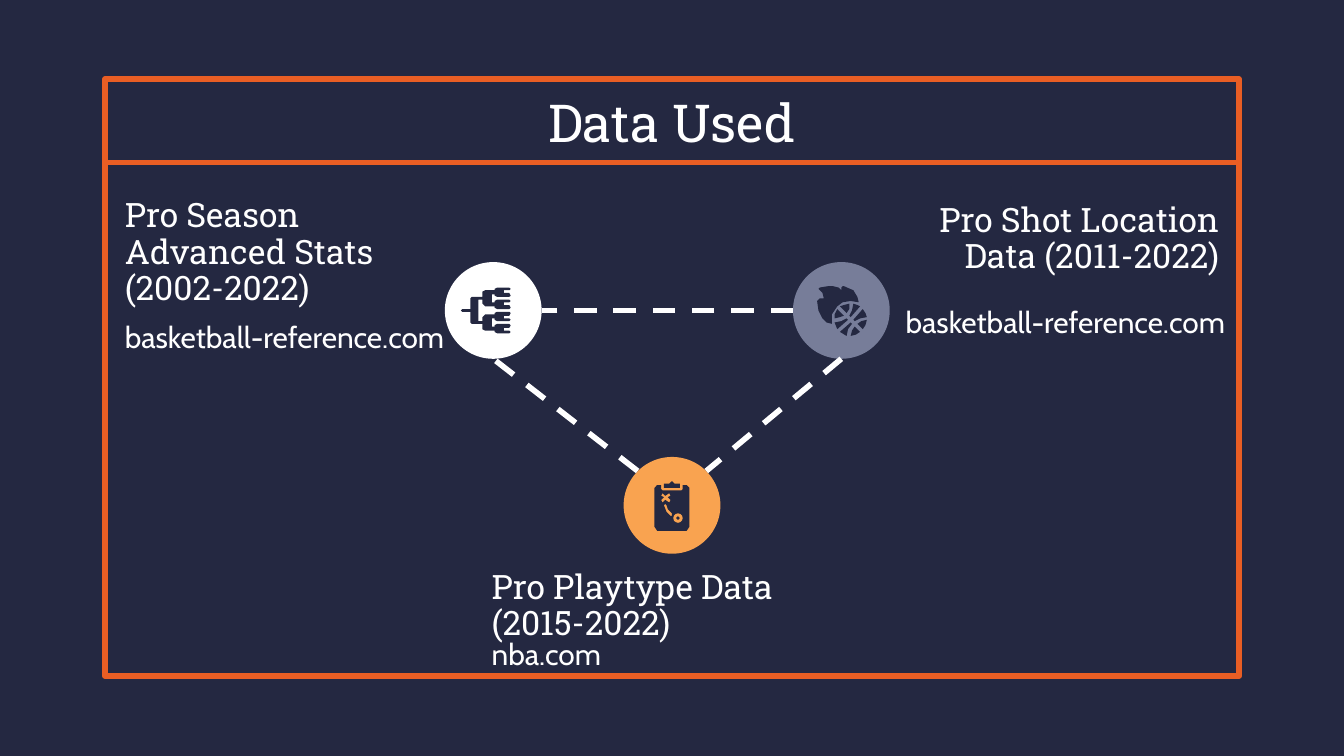
from lxml import etree
from pptx import Presentation
from pptx.dml.color import RGBColor
from pptx.enum.dml import MSO_LINE
from pptx.enum.shapes import MSO_CONNECTOR, MSO_SHAPE
from pptx.enum.text import MSO_ANCHOR, PP_ALIGN
from pptx.oxml.ns import qn
from pptx.util import Pt

STRAIGHT = MSO_CONNECTOR.STRAIGHT
RECTANGLE, OVAL, DONUT = MSO_SHAPE.RECTANGLE, MSO_SHAPE.OVAL, MSO_SHAPE.DONUT
DASH, SOLID = MSO_LINE.DASH, MSO_LINE.SOLID
LEFT, CENTER, RIGHT = PP_ALIGN.LEFT, PP_ALIGN.CENTER, PP_ALIGN.RIGHT
MIDDLE = MSO_ANCHOR.MIDDLE

NAVY, WHITE, ORANGE = "242841", "FFFFFF", "E95E24"
GREY, AMBER = "777D99", "F9A350"
SLAB, SANS = "Roboto Slab", "Cabin"
ICON_UNIT = 0.72  # points per unit of the icon outlines
DIAMETER = 51.84


def color(hex_string):
    return RGBColor.from_string(hex_string)


def paint(shape, fill):
    """Give a shape a plain fill without line or shadow."""
    shape.shadow.inherit = False
    shape.fill.solid()
    shape.fill.fore_color.rgb = color(fill)
    shape.line.fill.background()


presentation = Presentation()
presentation.slide_width, presentation.slide_height = Pt(720), Pt(405)
slide = presentation.slides.add_slide(presentation.slide_layouts[5])
slide.background.fill.solid()
slide.background.fill.fore_color.rgb = color(NAVY)
shapes = slide.shapes

# Frame and title
frame = shapes.add_shape(RECTANGLE, Pt(56.2), Pt(42.5), Pt(607.7), Pt(319.7))
frame.shadow.inherit = False
frame.fill.background()
frame.line.color.rgb = color(ORANGE)
frame.line.width = Pt(3)

title = shapes.title
title.left, title.top, title.width, title.height = Pt(56.2), Pt(42.5), Pt(607.7), Pt(45.4)
title.text_frame.text = "Data Used"
title.text_frame.vertical_anchor = MIDDLE
paragraph = title.text_frame.paragraphs[0]
paragraph.alignment = CENTER
paragraph.font.size = Pt(28)
paragraph.font.name = SLAB
paragraph.font.color.rgb = color(WHITE)

# Data set names and their sources: text, left, top, width, height, alignment, size, font
labels = [
    ("basketball-reference.com", 59.8, 156.2, 193, 50.4, LEFT, 16, SANS),
    ("Pro Season Advanced Stats (2002-2022)", 59.8, 115.2, 193, 41, LEFT, 18, SLAB),
    ("basketball-reference.com", 478.1, 148.3, 193, 50.4, LEFT, 16, SANS),
    ("Pro Shot Location Data (2011-2022)", 467.3, 108, 193, 41, RIGHT, 18, SLAB),
    ("nba.com", 256.3, 326.2, 193, 50.4, LEFT, 16, SANS),
    ("Pro Playtype Data (2015-2022)", 256.3, 304.6, 205.2, 41, LEFT, 18, SLAB),
]
for text, left, top, width, height, alignment, size, font_name in labels:
    label = shapes.add_textbox(Pt(left), Pt(top), Pt(width), Pt(height))
    label.text_frame.word_wrap = True
    label.text_frame.vertical_anchor = MIDDLE
    label.text_frame.text = text
    paragraph = label.text_frame.paragraphs[0]
    paragraph.alignment = alignment
    paragraph.line_spacing = 0.9
    paragraph.font.size = Pt(size)
    paragraph.font.name = font_name
    paragraph.font.color.rgb = color(WHITE)

# Icon outlines, in icon units from the top left of their circle
bracket_top = [
    (12, 36), (13, 35), (19, 35), (19, 27), (20, 26), (28, 26), (28, 22), (30, 21),
    (37, 21), (37, 20), (39, 19), (48, 19), (49, 20), (48, 21), (44, 21), (44, 23),
    (48, 23), (49, 25), (48, 26), (39, 26), (37, 25), (37, 24), (35, 24), (35, 30),
    (37, 30), (37, 29), (39, 28), (48, 28), (49, 29), (48, 30), (44, 30), (44, 32),
    (48, 32), (49, 34), (48, 35), (39, 35), (37, 34), (37, 33), (30, 33), (28, 31),
    (28, 28), (25, 28),
]
bracket = [bracket_top + [(x, 72 - y) for x, y in reversed(bracket_top)]]

flaming_ball = [
    # flame
    [(26, 18), (20, 19), (19, 20), (20, 21), (22, 23), (23, 27), (20, 27), (18, 29),
     (19, 36), (22, 42), (25, 45), (29, 46), (29, 39), (33, 33), (37, 30), (43, 29),
     (49, 30), (48, 26), (45, 21), (38, 18), (37, 18), (36, 19), (36, 21), (34, 19),
     (30, 18)],
    # ball panels
    [(45, 31), (44, 36), (42, 40), (43, 41), (50, 33), (48, 32)],
    [(52, 35), (45, 43), (46, 44), (50, 42), (55, 41), (54, 38)],
    [(43, 45), (35, 52), (40, 55), (41, 50), (44, 46)],
    [(55, 43), (51, 44), (48, 46), (52, 50), (54, 47)],
    [(42, 31), (38, 32), (35, 33), (40, 38), (42, 35)],
    [(46, 48), (44, 51), (43, 55), (47, 54), (50, 52)],
    [(33, 35), (31, 39), (31, 42), (35, 41), (38, 40)],
    [(40, 42), (36, 44), (31, 45), (33, 50), (41, 43)],
]

clipboard = [
    # board
    [(23, 23), (25, 21), (28, 21), (28, 24), (29, 25), (43, 25), (44, 24), (44, 21),
     (47, 21), (49, 23), (49, 52), (47, 55), (25, 55), (23, 52)],
    # clip
    [(36, 18), (35, 19), (34, 20), (30, 20), (30, 23), (42, 23), (42, 20), (38, 20),
     (37, 19)],
    # cross and path, cut out of the board
    [(34, 27), (35, 29), (33, 30), (35, 32), (34, 34), (31, 32), (29, 34), (28, 32),
     (30, 30), (28, 29), (29, 27), (31, 29)],
    [(31, 35), (32, 36), (33, 39), (36, 42), (36, 44), (35, 44), (32, 41), (30, 36)],
]

season_left, shot_left, playtype_left = 238.32, 424.8, 334.08
upper_top, playtype_top = 140.4, 244.8
circles = [
    (season_left, upper_top, WHITE, bracket),
    (shot_left, upper_top, GREY, flaming_ball),
    (playtype_left, playtype_top, AMBER, clipboard),
]
for left, top, fill, outlines in circles:
    circle = shapes.add_shape(OVAL, Pt(left), Pt(top), Pt(DIAMETER), Pt(DIAMETER))
    paint(circle, fill)
    builder = shapes.build_freeform(*outlines[0][0], scale=Pt(ICON_UNIT))
    builder.add_line_segments(outlines[0][1:])
    for outline in outlines[1:]:
        builder.move_to(*outline[0])
        builder.add_line_segments(outline[1:])
    paint(builder.convert_to_shape(Pt(left), Pt(top)), NAVY)

ring = shapes.add_shape(DONUT, Pt(playtype_left + 37 * ICON_UNIT),
                        Pt(playtype_top + 42 * ICON_UNIT), Pt(5.04), Pt(5.04))
ring.adjustments[0] = 0.32
paint(ring, AMBER)

# Header rule and the dashed links between the circles
radius = DIAMETER / 2
shoulder = radius * 0.71
playtype_x, playtype_y = playtype_left + radius, playtype_top + radius
upper_bottom, upper_middle = upper_top + DIAMETER, upper_top + radius
lines = [
    (57.6, 87.1, 662.4, 87.1, ORANGE, SOLID),
    (shot_left + radius, upper_bottom,
     playtype_x + shoulder, playtype_y - shoulder, WHITE, DASH),
    (playtype_x - shoulder, playtype_y - shoulder,
     season_left + radius, upper_bottom, WHITE, DASH),
    (shot_left, upper_middle, season_left + DIAMETER, upper_middle, WHITE, DASH),
]
for begin_x, begin_y, end_x, end_y, line_color, dash in lines:
    connector = shapes.add_connector(STRAIGHT, Pt(begin_x), Pt(begin_y), Pt(end_x), Pt(end_y))
    connector.line.color.rgb = color(line_color)
    connector.line.width = Pt(3)
    connector.line.dash_style = dash
    etree.SubElement(connector._element.spPr, qn("a:effectLst"))

presentation.save("out.pptx")
